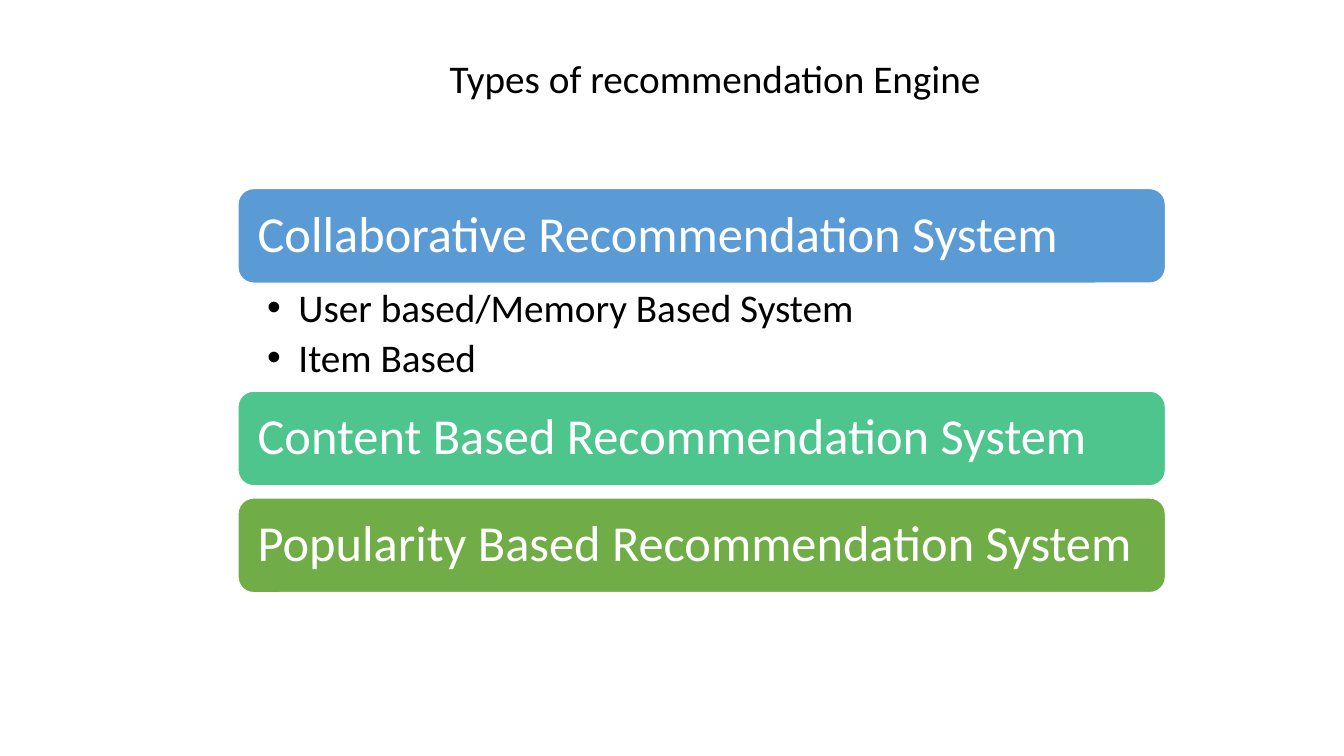
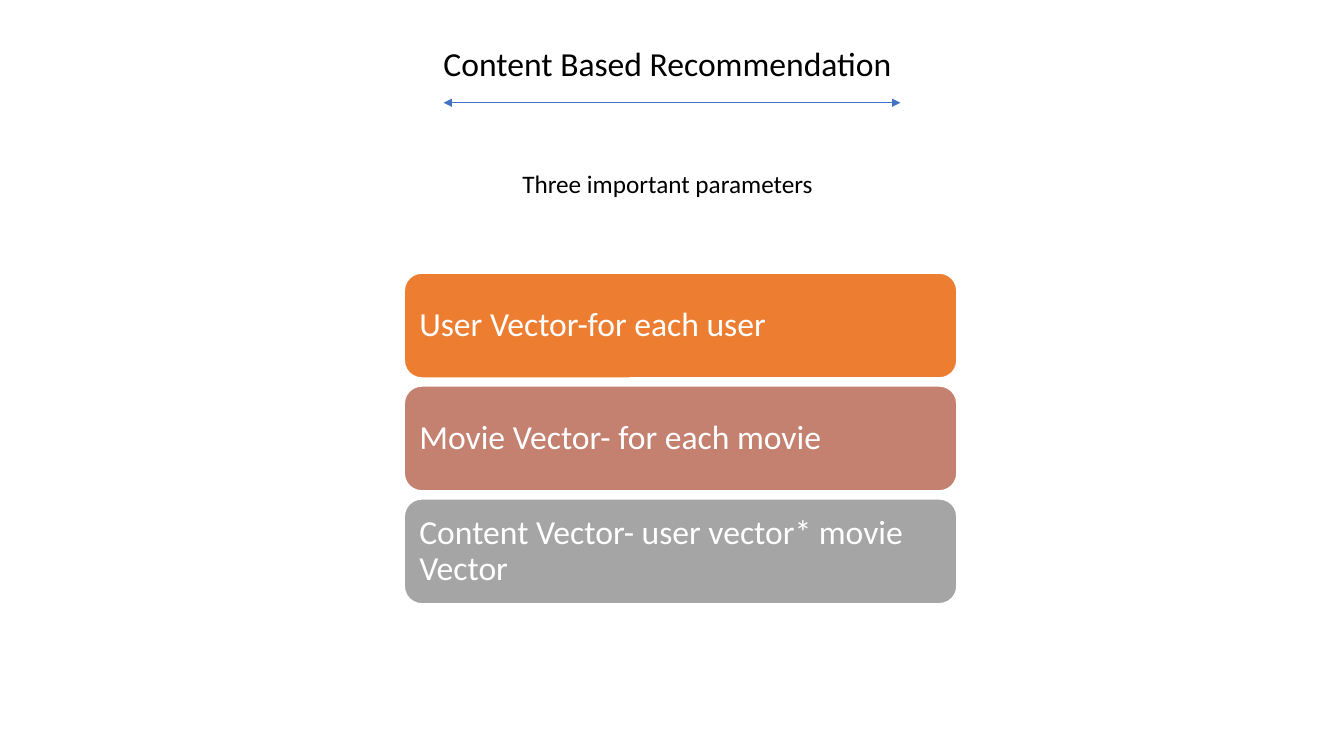
import pptx
import pptx.util
import pptx.dml.color
import pptx.enum.shapes
import pptx.enum.text
import pptx.oxml
import pptx.oxml.ns

Inches = pptx.util.Inches
Pt = pptx.util.Pt
ALIGN = pptx.enum.text.PP_ALIGN
ANCHOR = pptx.enum.text.MSO_ANCHOR

COLORS = {
    "text": "000000",
    "white": "FFFFFF",
    "collaborative": "5B9BD5",
    "content": "4DC58D",
    "popularity": "70AD47",
    "user": "ED7D31",
    "movie": "C48170",
    "product": "A5A5A5",
    "arrow": "4472C4",
}


def rgb(name):
    return pptx.dml.color.RGBColor.from_string(COLORS[name])


class Deck:
    font = "Calibri"
    line_spacing = 0.9

    def __init__(self):
        self.presentation = pptx.Presentation()
        self.presentation.slide_width = Inches(13.33)
        self.presentation.slide_height = Inches(7.5)
        self.slide = None

    def new_slide(self):
        layout = self.presentation.slide_layouts[1]
        self.slide = self.presentation.slides.add_slide(layout)

    def set_text(self, frame, lines, size, color="text", align=ALIGN.LEFT):
        frame.word_wrap = True
        frame.auto_size = pptx.enum.text.MSO_AUTO_SIZE.NONE
        frame.text = "\n".join(lines)
        for paragraph in frame.paragraphs:
            paragraph.alignment = align
            paragraph.space_before = Pt(0)
            paragraph.font.name = self.font
            paragraph.font.size = Pt(size)
            paragraph.font.color.rgb = rgb(color)

    def place(self, placeholder, box):
        placeholder.left, placeholder.top, placeholder.width, placeholder.height = map(Inches, box)
        placeholder.text_frame.vertical_anchor = ANCHOR.TOP
        return placeholder.text_frame

    def title(self, text, box, size, align=ALIGN.LEFT):
        self.set_text(self.place(self.slide.shapes.title, box), [text], size, align=align)

    def body(self, lines, box, size, bullet=None, inset=0.1):
        frame = self.place(self.slide.placeholders[1], box)
        frame.margin_left = Inches(inset)
        self.set_text(frame, lines, size)
        hanging = Inches(0.31) if bullet else 0
        for paragraph in frame.paragraphs:
            properties = paragraph._p.get_or_add_pPr()
            properties.set("marL", str(hanging))
            properties.set("indent", str(-hanging))
            if bullet:
                paragraph.line_spacing = self.line_spacing
                paragraph.space_after = Pt(size * 0.2)
                mark = pptx.oxml.ns.qn("a:buChar")
                properties.insert_element_before(
                    properties.makeelement(mark, {"char": bullet}), "a:defRPr")
            else:
                mark = pptx.oxml.ns.qn("a:buNone")
                properties.insert_element_before(
                    properties.makeelement(mark, {}), "a:defRPr")

    def band(self, text, box, color, size, inset):
        band = self.slide.shapes.add_shape(
            pptx.enum.shapes.MSO_SHAPE.ROUNDED_RECTANGLE, *map(Inches, box))
        band.shadow.inherit = False
        band.fill.solid()
        band.fill.fore_color.rgb = rgb(color)
        band.line.color.rgb = rgb("white")
        band.line.width = Pt(1)
        frame = band.text_frame
        frame.margin_left = frame.margin_right = Inches(inset)
        frame.margin_top = frame.margin_bottom = Inches(inset)
        frame.vertical_anchor = ANCHOR.MIDDLE
        self.set_text(frame, [text], size, "white")
        frame.paragraphs[0].line_spacing = self.line_spacing

    def stack(self, bands, left, top, width, height, pitch, size, inset):
        for row, (text, color) in enumerate(bands):
            self.band(text, (left, top + row * pitch, width, height), color, size, inset)

    def double_arrow(self, left, right, y):
        arrow = self.slide.shapes.add_connector(
            pptx.enum.shapes.MSO_CONNECTOR.STRAIGHT,
            Inches(left), Inches(y), Inches(right), Inches(y))
        arrow.line.color.rgb = rgb("arrow")
        arrow.line.width = Pt(0.5)
        outline = arrow.line._get_or_add_ln()
        for end in ("a:headEnd", "a:tailEnd"):
            outline.append(outline.makeelement(pptx.oxml.ns.qn(end), {"type": "triangle"}))
        properties = outline.getparent()
        properties.append(properties.makeelement(pptx.oxml.ns.qn("a:effectLst"), {}))


def add_engine_types(deck):
    deck.new_slide()
    deck.title("Types of recommendation Engine", (4.36, 0.49, 6.01, 0.57), 28)
    left, top, width, height = 2.36, 1.87, 9.2, 0.94
    list_height, pitch = 1.07, 1.06
    list_top = top + height
    style = {"left": left, "width": width, "height": height,
             "pitch": pitch, "size": 36, "inset": 0.15}
    deck.stack([("Collaborative Recommendation System", "collaborative")], top=top, **style)
    deck.body(["User based/Memory Based System", "Item Based"],
              (left, list_top, width, list_height), 28, bullet="•", inset=0.29)
    deck.stack([
        ("Content Based Recommendation System", "content"),
        ("Popularity Based Recommendation System", "popularity"),
    ], top=list_top + list_height, **style)


def add_content_based(deck):
    deck.new_slide()
    deck.title("Content Based Recommendation", (2.89, 0.38, 7.46, 0.5), 24, ALIGN.CENTER)
    deck.double_arrow(4.4, 8.93, 1.02)
    deck.body(["Three important parameters"], (5.08, 1.62, 6.67, 0.71), 18)
    deck.stack([
        ("User Vector-for each user", "user"),
        ("Movie Vector- for each movie", "movie"),
        ("Content Vector- user vector* movie Vector", "product"),
    ], left=4.01, top=2.71, width=5.48, height=1.04, pitch=1.12, size=24, inset=0.1)


def main():
    deck = Deck()
    add_engine_types(deck)
    add_content_based(deck)
    deck.presentation.save("out.pptx")


if __name__ == "__main__":
    main()
